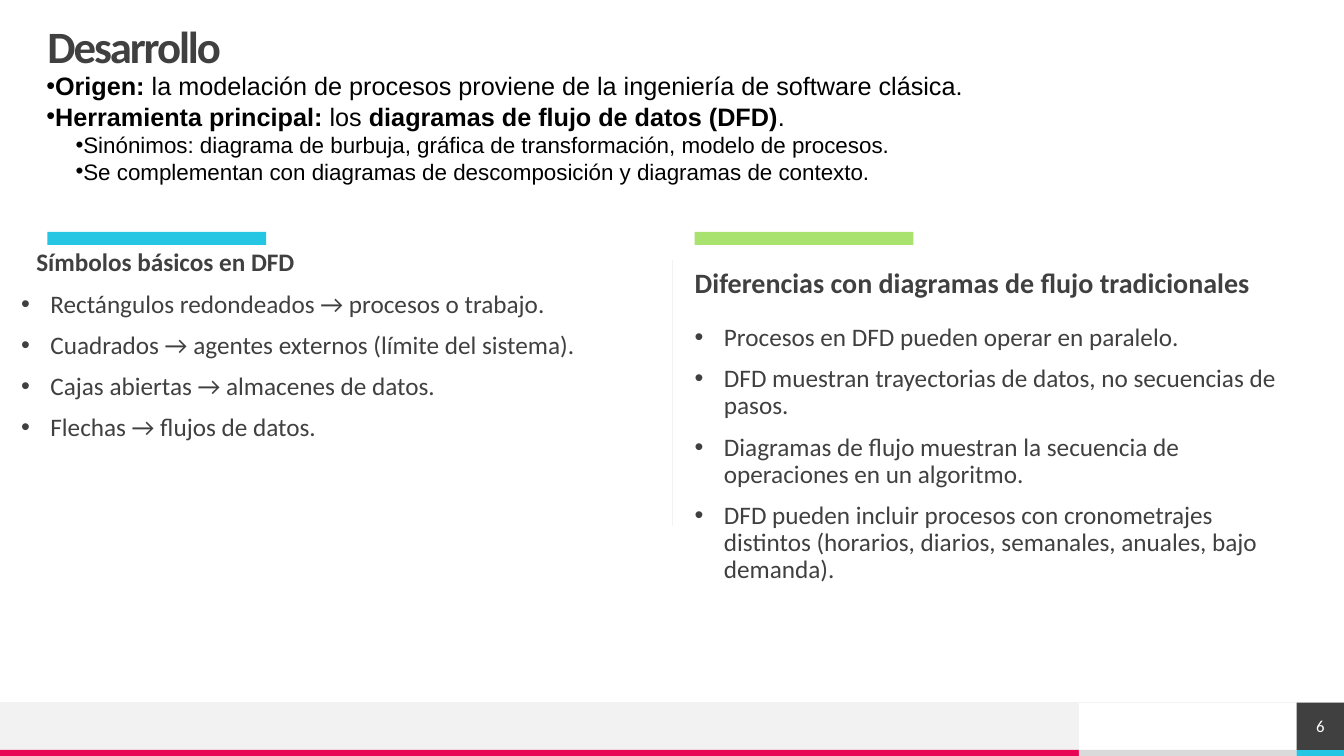
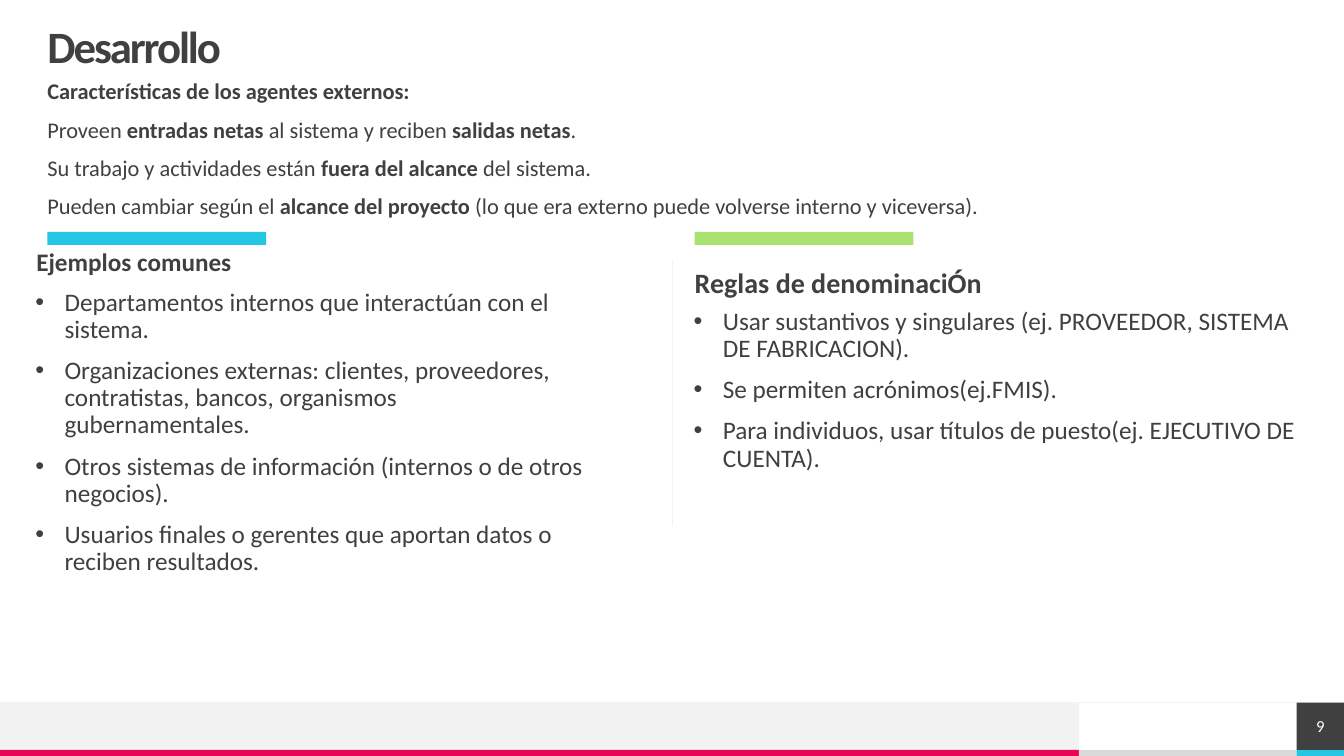
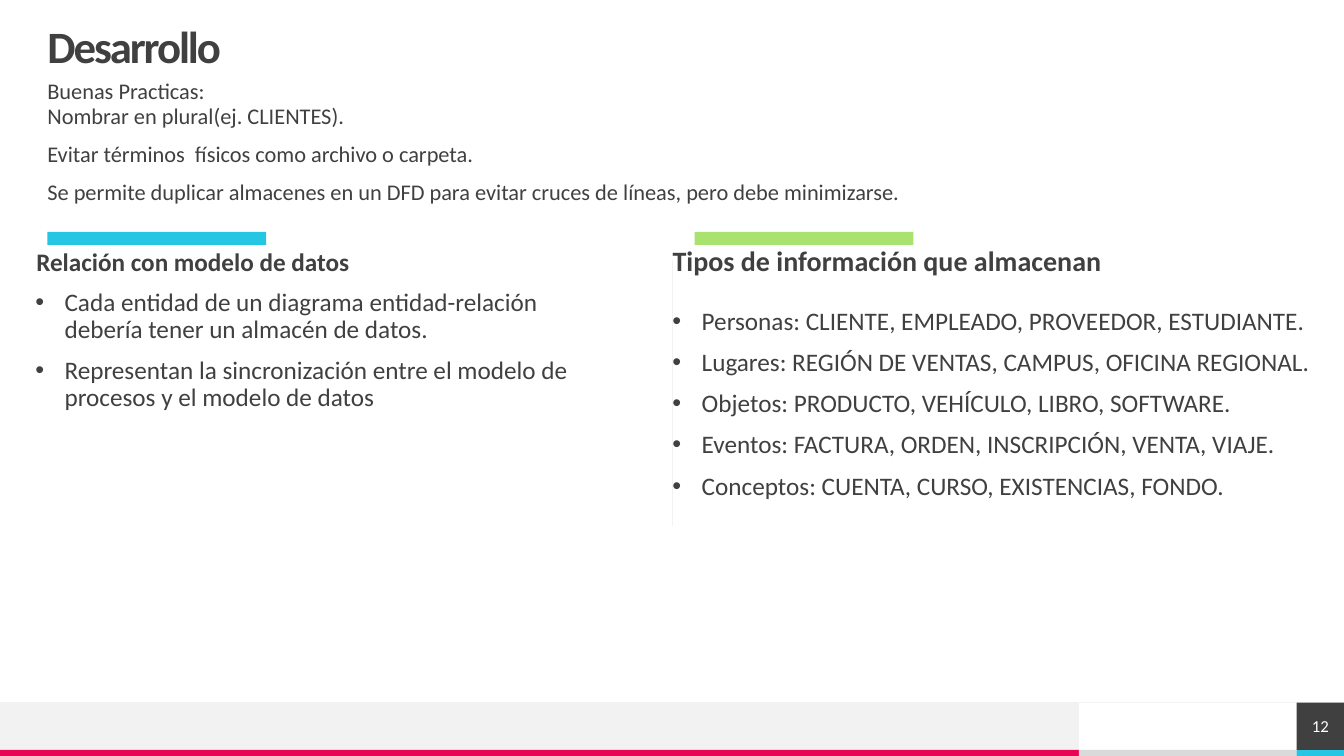
import pptx
import pptx.dml.color
import pptx.enum.shapes
import pptx.enum.text
import pptx.oxml.ns
import pptx.util
from lxml import etree

Inches = pptx.util.Inches
Pt = pptx.util.Pt
ANCHOR = pptx.enum.text.MSO_ANCHOR
ALIGN = pptx.enum.text.PP_ALIGN

# Shared palette and geometry (inches)
CYAN, GREEN, PINK = "25C6E3", "A9E26F", "E80554"
DARK, GREY, PALE, WHITE, BLACK = "404040", "DADADA", "F2F2F2", "FFFFFF", "000000"
WIDTH, HEIGHT = 13.33, 7.5
MARGIN, RIGHT_COLUMN, CENTRE = 0.47, 6.89, 6.67
FOOTER_TOP, STRIP_HEIGHT, FOOTER_HEIGHT = 6.97, 0.06, 0.47
BAND_RIGHT, NUMBER_LEFT = 10.7, 12.86
TITLE_BOX = (MARGIN, 0.25, 12.4, 0.47)
INTRO_BOX = (MARGIN, 0.8, 12.4, 1.4)
BODY = dict(line_spacing=0.9, space_before=10)
SUBPOINT = dict(size=16, left=0.29)

# Content: ** marks bold; a (text, format) pair overrides the box format
SLIDES = [
    dict(
        number=6,
        title="Desarrollo",
        intro=[
            "**Origen:** la modelación de procesos proviene de la ingeniería de software clásica.",
            "**Herramienta principal:** los **diagramas de flujo de datos (DFD)**.",
            ("Sinónimos: diagrama de burbuja, gráfica de transformación, modelo de procesos.", SUBPOINT),
            ("Se complementan con diagramas de descomposición y diagramas de contexto.", SUBPOINT),
        ],
        intro_box=(0.46, 0.7, 9.3, 1.45),
        intro_format=dict(size=18, font="Arial", color=BLACK, bullet=True),
        left=dict(
            heading="Símbolos básicos en DFD",
            box=(0.21, 2.89, 5.98, 3.08),
            points=[
                "Rectángulos redondeados → procesos o trabajo.",
                "Cuadrados → agentes externos (límite del sistema).",
                "Cajas abiertas → almacenes de datos.",
                "Flechas → flujos de datos.",
            ],
        ),
        right=dict(
            heading="Diferencias con diagramas de flujo tradicionales",
            box=(RIGHT_COLUMN, 3.22, 5.98, 2.4),
            points=[
                "Procesos en DFD pueden operar en paralelo.",
                "DFD muestran trayectorias de datos, no secuencias de pasos.",
                "Diagramas de flujo muestran la secuencia de operaciones en un algoritmo.",
                "DFD pueden incluir procesos con cronometrajes distintos "
                "(horarios, diarios, semanales, anuales, bajo demanda).",
            ],
        ),
    ),
    dict(
        number=9,
        title="Desarrollo",
        intro=[
            "**Características de los agentes externos:**",
            "Proveen **entradas netas** al sistema y reciben **salidas netas**.",
            "Su trabajo y actividades están **fuera del alcance** del sistema.",
            "Pueden cambiar según el **alcance del proyecto** "
            "(lo que era externo puede volverse interno y viceversa).",
        ],
        left=dict(
            heading="Ejemplos comunes",
            box=(0.35, 2.87, 5.48, 2.97),
            points=[
                "Departamentos internos que interactúan con el sistema.",
                "Organizaciones externas: clientes, proveedores, contratistas, "
                "bancos, organismos gubernamentales.",
                "Otros sistemas de información (internos o de otros negocios).",
                "Usuarios finales o gerentes que aportan datos o reciben resultados.",
            ],
        ),
        right=dict(
            heading="Reglas de denominaciÓn",
            box=(6.88, 3.06, 5.98, 3.9),
            points=[
                "Usar sustantivos y singulares (ej. PROVEEDOR, SISTEMA DE FABRICACION).",
                "Se permiten acrónimos(ej.FMIS).",
                "Para individuos, usar títulos de puesto(ej. EJECUTIVO DE CUENTA).",
            ],
        ),
    ),
    dict(
        number=12,
        title="Desarrollo",
        intro=[
            "Buenas Practicas:\nNombrar en plural(ej. CLIENTES).",
            "Evitar términos  físicos como archivo o carpeta.",
            "Se permite duplicar almacenes en un DFD para evitar cruces de líneas, "
            "pero debe minimizarse.",
        ],
        left=dict(
            heading="Relación con modelo de datos",
            box=(0.35, 2.87, 5.48, 2.97),
            points=[
                "Cada entidad de un diagrama entidad-relación debería tener un almacén de datos.",
                "Representan la sincronización entre el modelo de procesos y el modelo de datos",
            ],
        ),
        right=dict(
            heading="Tipos de información que almacenan",
            heading_at=(CENTRE, 2.45),
            box=(CENTRE, 3.06, 6.66, 3.9),
            points=[
                "Personas: CLIENTE, EMPLEADO, PROVEEDOR, ESTUDIANTE.",
                "Lugares: REGIÓN DE VENTAS, CAMPUS, OFICINA REGIONAL.",
                "Objetos: PRODUCTO, VEHÍCULO, LIBRO, SOFTWARE.",
                "Eventos: FACTURA, ORDEN, INSCRIPCIÓN, VENTA, VIAJE.",
                "Conceptos: CUENTA, CURSO, EXISTENCIAS, FONDO.",
            ],
        ),
    ),
]


def rgb(color):
    return pptx.dml.color.RGBColor.from_string(color)


def add_run(paragraph, text, size=18, font="Calibri", color=DARK, bold=False, tracking=0):
    run = paragraph.add_run()
    run.text = text
    run.font.size = Pt(size)
    run.font.name = font
    run.font.bold = bold
    run.font.color.rgb = rgb(color)
    if tracking:
        run.font._element.set("spc", str(round(tracking * 100)))


def format_paragraph(paragraph, align=ALIGN.LEFT, line_spacing=1.0, space_before=0,
                     bullet=False, left=0, hanging=0):
    paragraph.alignment = align
    paragraph.line_spacing = line_spacing
    paragraph.space_before = Pt(space_before)
    if bullet:
        properties = paragraph._p.get_or_add_pPr()
        properties.set("marL", str(Inches(left)))
        properties.set("indent", str(-Inches(hanging)))
        font = etree.SubElement(properties, pptx.oxml.ns.qn("a:buFont"))
        font.set("typeface", "Arial")
        character = etree.SubElement(properties, pptx.oxml.ns.qn("a:buChar"))
        character.set("char", "•")


def write_text(frame, paragraphs, anchor=ANCHOR.TOP, **text_format):
    """Fill a text frame with formatted paragraphs."""
    frame.word_wrap = True
    frame.vertical_anchor = anchor
    frame.margin_left = frame.margin_top = frame.margin_right = frame.margin_bottom = 0
    run_keys = ("size", "font", "color", "bold", "tracking")
    for index, item in enumerate(paragraphs):
        text, override = item if isinstance(item, tuple) else (item, {})
        merged = {**text_format, **override}
        run_format = {key: merged.pop(key) for key in run_keys if key in merged}
        base_bold = run_format.pop("bold", False)
        paragraph = frame.paragraphs[0] if index == 0 else frame.add_paragraph()
        format_paragraph(paragraph, **merged)
        for line_index, line in enumerate(text.split("\n")):
            if line_index:
                paragraph.add_line_break()
            for piece_index, piece in enumerate(line.split("**")):
                if piece:
                    bold = base_bold or piece_index % 2 == 1
                    add_run(paragraph, piece, bold=bold, **run_format)


def add_text(slide, box, paragraphs, **text_format):
    shape = slide.shapes.add_textbox(*map(Inches, box))
    write_text(shape.text_frame, paragraphs, **text_format)


def add_block(slide, box, color):
    shape = slide.shapes.add_shape(pptx.enum.shapes.MSO_SHAPE.RECTANGLE, *map(Inches, box))
    shape.shadow.inherit = False
    shape.fill.solid()
    shape.fill.fore_color.rgb = rgb(color)
    shape.line.fill.background()
    return shape


def add_rule(slide, *ends):
    line = slide.shapes.add_connector(
        pptx.enum.shapes.MSO_CONNECTOR.STRAIGHT, *map(Inches, ends))
    line.line.color.rgb = rgb(PALE)
    line.line.width = Pt(0.5)
    etree.SubElement(line._element.spPr, pptx.oxml.ns.qn("a:effectLst"))


def add_footer(slide, number):
    strip_top = HEIGHT - STRIP_HEIGHT
    add_block(slide, (0, FOOTER_TOP, BAND_RIGHT, FOOTER_HEIGHT), PALE)
    edges = (0, BAND_RIGHT, NUMBER_LEFT, WIDTH)
    for start, end, color in zip(edges, edges[1:], (PINK, GREY, CYAN)):
        add_block(slide, (start, strip_top, end - start, STRIP_HEIGHT), color)
    add_rule(slide, WIDTH, FOOTER_TOP, 0, FOOTER_TOP)
    # Slide number
    tile = add_block(slide, (NUMBER_LEFT, FOOTER_TOP, WIDTH - NUMBER_LEFT, FOOTER_HEIGHT), DARK)
    write_text(tile.text_frame, [str(number)], anchor=ANCHOR.MIDDLE,
               align=ALIGN.CENTER, size=12, color=WHITE)


def add_column(slide, column, bar_left, bar_color, heading_at, heading_size):
    add_block(slide, (bar_left, 2.3, 2.17, 0.13), bar_color)
    heading_left, heading_top = column.get("heading_at", heading_at)
    add_text(slide, (heading_left, heading_top, 5.98, 0.39), [column["heading"]],
             size=heading_size, bold=True, **BODY)
    add_text(slide, column["box"], column["points"], bullet=True, left=0.29, hanging=0.29, **BODY)


def build_slide(presentation, content):
    slide = presentation.slides.add_slide(presentation.slide_layouts[6])
    add_footer(slide, content["number"])
    add_text(slide, TITLE_BOX, [content["title"]], anchor=ANCHOR.MIDDLE,
             size=32, bold=True, tracking=-1.5, line_spacing=0.9)
    add_text(slide, content.get("intro_box", INTRO_BOX), content["intro"],
             **content.get("intro_format", dict(size=16, **BODY)))
    # Two columns and their divider
    add_rule(slide, CENTRE, 2.58, CENTRE, 5.22)
    add_column(slide, content["left"], MARGIN, CYAN, (0.36, 2.48), 18)
    add_column(slide, content["right"], RIGHT_COLUMN, GREEN, (RIGHT_COLUMN, 2.67), 20)


def main():
    presentation = pptx.Presentation()
    presentation.slide_width = Inches(WIDTH)
    presentation.slide_height = Inches(HEIGHT)
    for content in SLIDES:
        build_slide(presentation, content)
    presentation.save("out.pptx")


if __name__ == "__main__":
    main()
